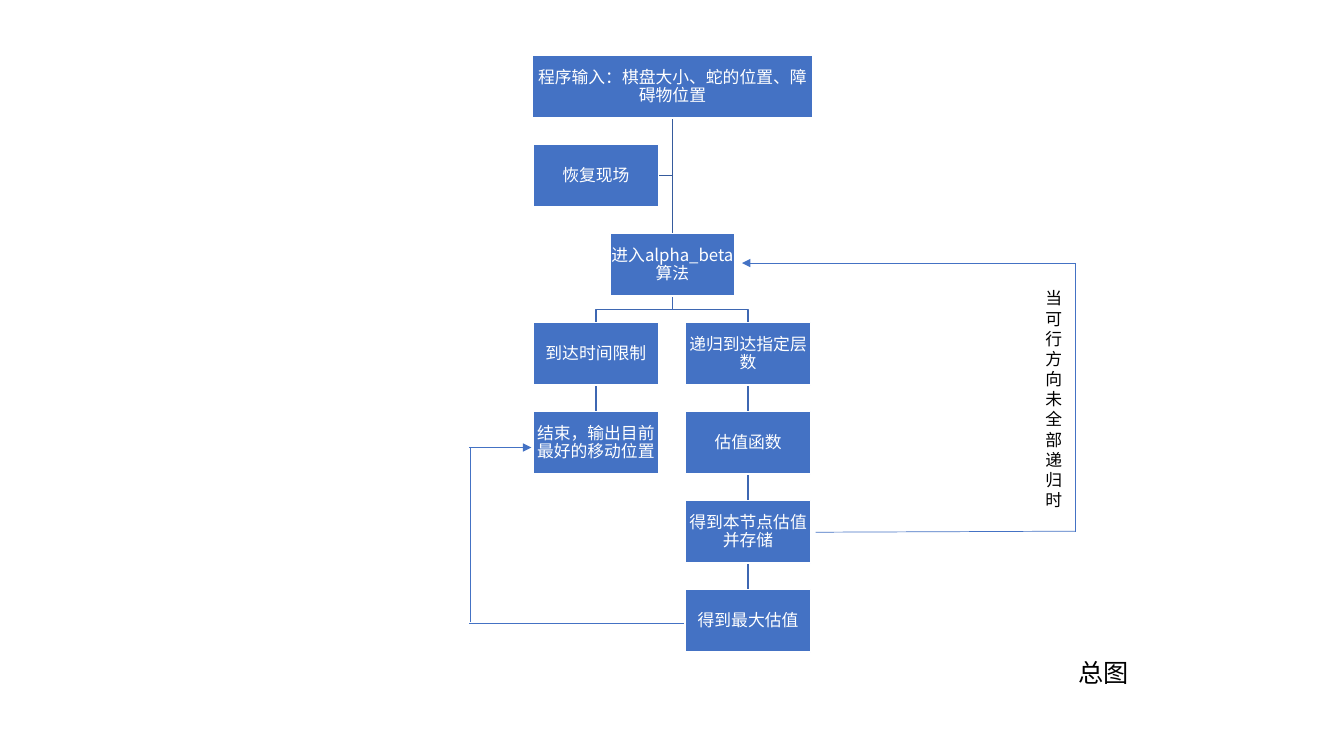
from lxml import etree
from pptx import Presentation
from pptx.dml.color import RGBColor
from pptx.enum.shapes import MSO_CONNECTOR as CONN, MSO_SHAPE as SHAPE
from pptx.enum.text import MSO_ANCHOR as ANCHOR, MSO_AUTO_SIZE as FIT, PP_ALIGN as ALIGN
from pptx.oxml.ns import qn
from pptx.util import Inches, Pt

BLUE = RGBColor(0x44, 0x72, 0xC4)
TRUNK = RGBColor(0x36, 0x5B, 0x9D)
BRANCH = RGBColor(0x3E, 0x67, 0xB2)
WHITE = RGBColor(0xFF, 0xFF, 0xFF)
BLACK = RGBColor(0, 0, 0)

TOP, ROW_STEP = 0.55, 5.3 / 6
BOX_W, BOX_H = 1.24, 0.62
LEFT, MID, RIGHT = 5.91, 6.67, 7.42  # column centres


def row_top(row):
    return TOP + row * ROW_STEP


def row_bottom(row):
    return row_top(row) + BOX_H


class FlowSlide:
    font = "Noto Sans CJK SC"

    def __init__(self, prs):
        self.s = prs.slides.add_slide(prs.slide_layouts[6])

    def add_run(self, p, text, size, color):
        r = p.add_run()
        r.text = text
        r.font.name = self.font
        r.font.size = Pt(size)
        r.font.color.rgb = color
        ea = etree.SubElement(r.font._element, qn("a:ea"))
        ea.set("typeface", self.font)

    def box(self, text, center, row, width=BOX_W):
        sp = self.s.shapes.add_shape(
            SHAPE.RECTANGLE, Inches(center - width / 2), Inches(row_top(row)),
            Inches(width), Inches(BOX_H))
        sp.shadow.inherit = False
        sp.fill.solid()
        sp.fill.fore_color.rgb = BLUE
        sp.line.color.rgb = WHITE
        sp.line.width = Pt(1)
        tf = sp.text_frame
        tf.word_wrap = True
        tf.vertical_anchor = ANCHOR.MIDDLE
        tf.margin_left = tf.margin_right = tf.margin_top = tf.margin_bottom = Inches(0.01)
        p = tf.paragraphs[0]
        p.alignment = ALIGN.CENTER
        p.line_spacing = 0.9
        p.space_after = Pt(4.2)
        self.add_run(p, text, 12, WHITE)

    def label(self, text, x, y, w, h, size):
        tf = self.s.shapes.add_textbox(Inches(x), Inches(y), Inches(w), Inches(h)).text_frame
        tf.word_wrap = True
        tf.auto_size = FIT.SHAPE_TO_FIT_TEXT
        self.add_run(tf.paragraphs[0], text, size, BLACK)

    def line(self, x1, y1, x2, y2, color=BLUE, width=0.5, arrow=False):
        c = self.s.shapes.add_connector(
            CONN.STRAIGHT, Inches(x1), Inches(y1), Inches(x2), Inches(y2))
        c.line.color.rgb = color
        c.line.width = Pt(width)
        if arrow:
            etree.SubElement(c.line._get_or_add_ln(), qn("a:tailEnd")).set("type", "triangle")
        etree.SubElement(c._element.spPr, qn("a:effectLst"))

    def elbow(self, points, color):
        """Draw an open bent line through the points."""
        (x, y), *rest = [(Inches(px), Inches(py)) for px, py in points]
        builder = self.s.shapes.build_freeform(x, y)
        builder.add_line_segments(rest, close=False)
        sp = builder.convert_to_shape()
        sp.shadow.inherit = False
        sp.fill.background()
        sp.line.color.rgb = color
        sp.line.width = Pt(1)


def main():
    prs = Presentation()
    prs.slide_width, prs.slide_height = Inches(13.33), Inches(7.5)
    flow = FlowSlide(prs)

    # Tree lines
    flow.elbow([(MID, row_bottom(0)), (MID, 1.74), (LEFT + BOX_W / 2, 1.74)], TRUNK)
    for column, row in [(RIGHT, 5), (RIGHT, 4), (RIGHT, 3), (LEFT, 3)]:
        flow.line(column, row_bottom(row), column, row_top(row + 1), BRANCH, 1)
    fork_y = (row_bottom(2) + row_top(3)) / 2
    for column in (RIGHT, LEFT):
        flow.elbow([(MID, row_bottom(2)), (MID, fork_y),
                    (column, fork_y), (column, row_top(3))], BRANCH)
    flow.line(MID, row_bottom(0), MID, row_top(2), TRUNK, 1)

    # Steps
    flow.box("程序输入：棋盘大小、蛇的位置、障碍物位置", MID, 0, 2.79)
    for text, column, row in [
        ("进入alpha_beta算法", MID, 2),
        ("到达时间限制", LEFT, 3),
        ("结束，输出目前最好的移动位置", LEFT, 4),
        ("递归到达指定层数", RIGHT, 3),
        ("估值函数", RIGHT, 4),
        ("得到本节点估值并存储", RIGHT, 5),
        ("得到最大估值", RIGHT, 6),
        ("恢复现场", LEFT, 1),
    ]:
        flow.box(text, column, row)

    # Loop back to the algorithm
    flow.line(8.09, 5.28, 10.67, 5.27)
    flow.line(10.67, 2.61, 7.36, 2.61, arrow=True)
    flow.line(10.67, 2.61, 10.67, 5.28)
    flow.label("当可行方向未全部递归时", 10.27, 2.81, 0.33, 2.32, 12)

    # Best estimate to the end step
    flow.line(6.78, 6.18, 4.65, 6.18)
    flow.line(4.67, 6.17, 4.67, 4.44)
    flow.line(4.65, 4.44, 5.27, 4.44, arrow=True)

    flow.label("总图", 10.6, 6.47, 1.19, 0.4, 18)
    prs.save("out.pptx")


if __name__ == "__main__":
    main()
